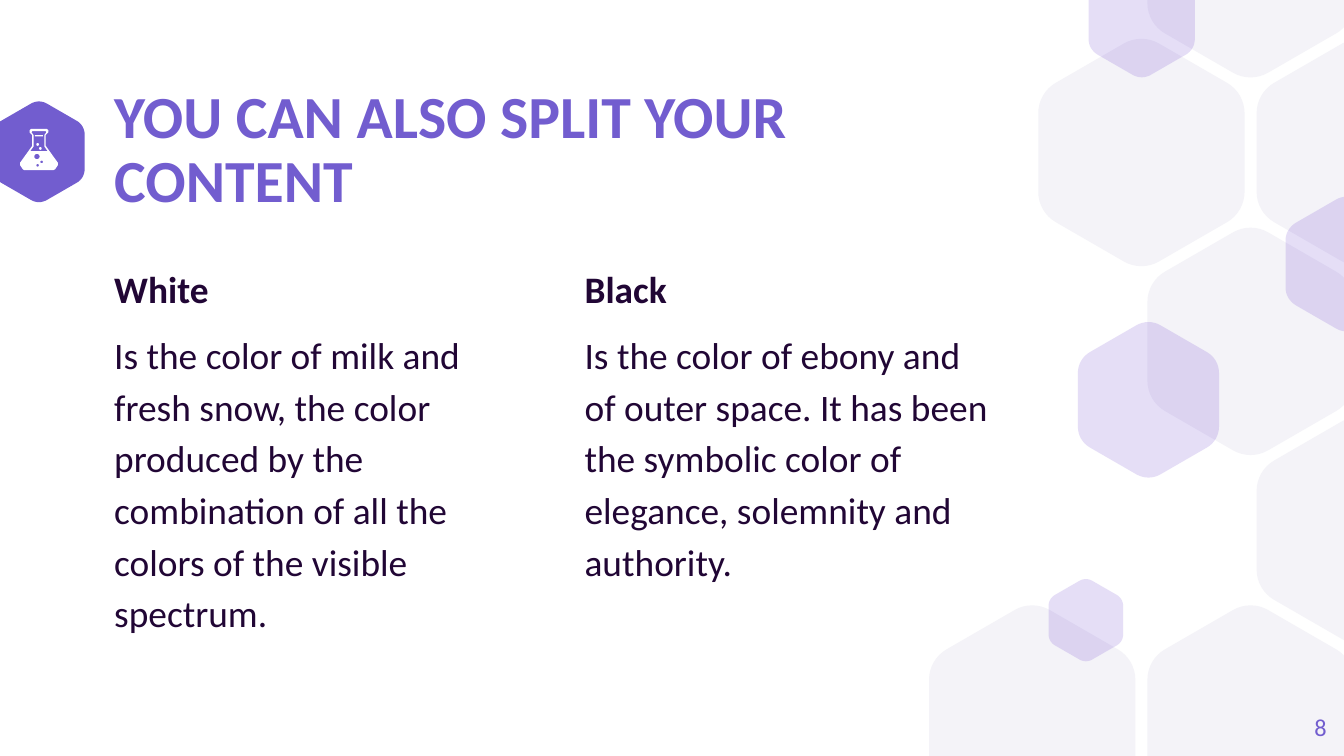
from dataclasses import dataclass
from math import cos, pi, sin, sqrt

from lxml.etree import SubElement
from pptx import Presentation
from pptx.dml.color import RGBColor as Rgb
from pptx.enum.shapes import MSO_SHAPE as Kind
from pptx.enum.text import MSO_ANCHOR as Anchor, PP_ALIGN as Align
from pptx.oxml.ns import qn
from pptx.util import Emu, Pt

PX = 4572  # 200 px to the inch
WIDE, HIGH = 2000, 1125


@dataclass(frozen=True)
class Theme:
    font: str = "Calibri"
    main: str = "725DCF"
    ink: str = "210635"
    pale: str = "F4F3F8"
    tint: str = "5322C9"
    white: str = "FFFFFF"
    tint_alpha: int = 15
    title: int = 32
    body: int = 20
    small: int = 13


THEME = Theme()


def px(n):
    return Emu(round(n * PX))


def paint(shape, color, alpha=100):
    shape.shadow.inherit = False
    shape.line.fill.background()
    shape.fill.solid()
    shape.fill.fore_color.rgb = Rgb.from_string(color)
    if alpha < 100:
        tone = shape.fill._xPr.find(qn("a:solidFill"))[0]
        SubElement(tone, qn("a:alpha")).set("val", str(alpha * 1000))


def outline(slide, loops, color, alpha=100):
    """Fill closed loops of px points; inner loops become holes."""
    loops = [[(px(x), px(y)) for x, y in loop] for loop in loops]
    pen = slide.shapes.build_freeform(*loops[0][0], scale=1.0)
    for i, loop in enumerate(loops):
        if i:
            pen.move_to(*loop[0])
        pen.add_line_segments(loop[1:], close=True)
    paint(pen.convert_to_shape(), color, alpha)


def arc(x, y, r, start, end, steps):
    turns = [start + (end - start) * i / steps for i in range(steps + 1)]
    return [(x + r * cos(t), y + r * sin(t)) for t in turns]


def hexagon(slide, x, y, w, color, alpha=100):
    """Round-cornered hexagon centred on x, y, cut at the slide's top and bottom."""
    r = 0.17 * w
    reach = w / sqrt(3) - r / cos(pi / 6)
    points = []
    for k in range(6):
        t = pi / 2 + k * pi / 3
        points += arc(x + reach * cos(t), y + reach * sin(t), r,
                      t - pi / 6, t + pi / 6, 8)
    points = [(a, min(max(b, 0), HIGH)) for a, b in points]
    outline(slide, [points], color, alpha)


def write(frame, text, size=THEME.body, color=THEME.ink, bold=False,
          align=Align.LEFT, lead=1.0, gap=0):
    """Add one paragraph to a text frame."""
    first = frame.paragraphs[0]
    para = frame.add_paragraph() if first.runs else first
    para.alignment = align
    para.line_spacing = lead
    para.space_before = para.space_after = Pt(gap)
    run = para.add_run()
    run.text = text
    font = run.font
    font.name, font.size, font.bold = THEME.font, Pt(size), bold
    font.color.rgb = Rgb.from_string(color)


def textbox(slide, box, anchor=Anchor.TOP):
    frame = slide.shapes.add_textbox(*map(px, box)).text_frame
    frame.word_wrap = True
    frame.vertical_anchor = anchor
    frame.margin_left = frame.margin_right = 0
    frame.margin_top = frame.margin_bottom = 0
    return frame


def honeycomb(slide, left, top):
    """Pale cells on a staggered grid, with tinted cells laid over them."""
    cells = [(0, 4), (2, 4), (3, 1), (2, 0), (2, 2), (1, 1), (3, 3)]
    for col, row in cells:
        hexagon(slide, left + 162.5 * col, top + 281 * row, 307, THEME.pale)
    tints = [(468, 447, 182), (80, 977, 111), (163, 82, 158), (173, 649, 210)]
    for x, y, w in tints:
        hexagon(slide, left + x, top + y, w, THEME.tint, THEME.tint_alpha)


def flask(slide, left, top):
    def mirror(half):
        """Close a left half around the flask's axis."""
        whole = half + [(56 - x, y) for x, y in reversed(half)]
        return [(left + x, top + y) for x, y in whole]

    glass = mirror([(16, 0), (14, 2), (14, 5), (18, 9), (18, 25), (0, 50),
                    (0, 54), (4, 60), (6, 61)])
    hollow = mirror([(18, 3), (17, 5), (20, 9), (20, 26), (15, 33)])
    holes = [arc(left + x, top + y, r, 0, 2 * pi, 16)
             for x, y, r in [(25, 41, 4), (32, 49, 2), (26, 54, 2)]]
    outline(slide, [glass, hollow, *holes], THEME.white)
    for kind, x, y, w, h in [(Kind.OVAL, 28, 27, 4, 4),
                             (Kind.ROUNDED_RECTANGLE, 22, 9, 12, 2),
                             (Kind.OVAL, 24, 21, 4, 4)]:
        spot = slide.shapes.add_shape(kind, px(left + x), px(top + y), px(w), px(h))
        paint(spot, THEME.white)


def badge(slide, x, y):
    hexagon(slide, x, y, 136, THEME.main)
    flask(slide, x - 28, y - 34)


def column(slide, box, head, text):
    frame = textbox(slide, box)
    write(frame, head, bold=True, lead=1.15)
    write(frame, text, lead=1.15, gap=8)


def heading(slide, box, text):
    frame = textbox(slide, box, Anchor.MIDDLE)
    write(frame, text, size=THEME.title, color=THEME.main, bold=True, lead=0.9)


def number(slide, box, text):
    frame = textbox(slide, box, Anchor.MIDDLE)
    write(frame, text, size=THEME.small, color=THEME.main, align=Align.RIGHT)


def main():
    deck = Presentation()
    deck.slide_width, deck.slide_height = px(WIDE), px(HIGH)
    slide = deck.slides.add_slide(deck.slide_layouts[6])
    honeycomb(slide, 1536, -54)
    badge(slide, 58, 226)
    heading(slide, (170, 182, 1314, 86), "YOU CAN ALSO SPLIT YOUR CONTENT")
    columns = [
        ("White", "Is the color of milk and fresh snow, the color produced by "
                  "the combination of all the colors of the visible spectrum."),
        ("Black", "Is the color of ebony and of outer space. It has been the "
                  "symbolic color of elegance, solemnity and authority."),
    ]
    for i, (head, text) in enumerate(columns):
        column(slide, (170 + 700 * i, 386, 614, 658), head, text)
    number(slide, (1854, 1039, 120, 86), "8")
    deck.save("out.pptx")


if __name__ == "__main__":
    main()
